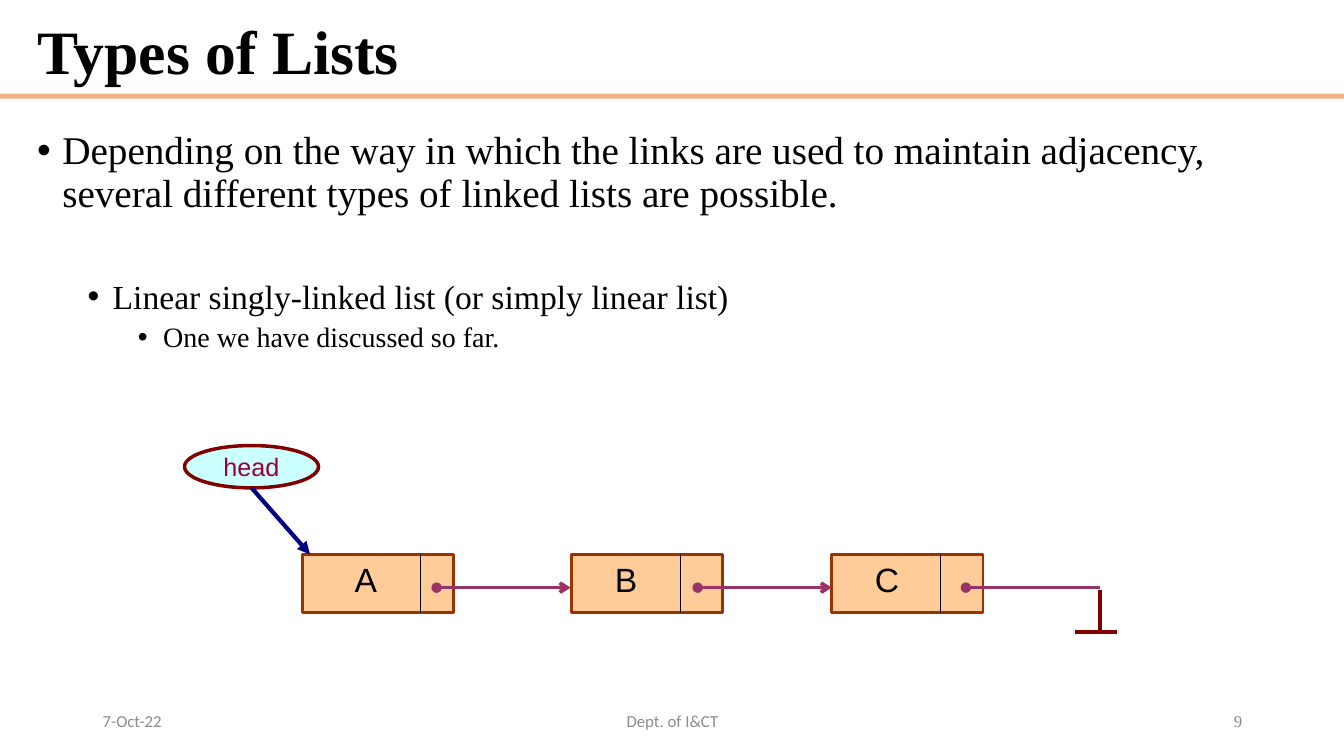
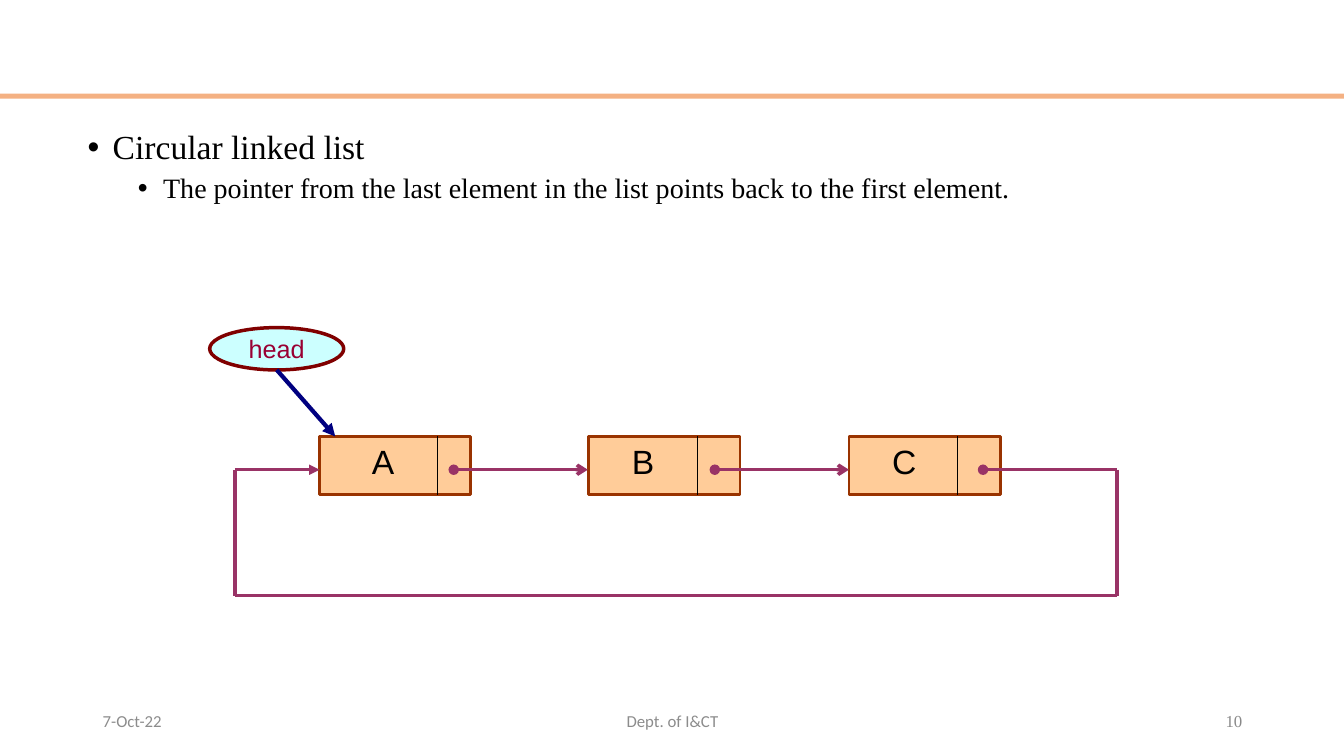
from dataclasses import dataclass

from lxml.etree import SubElement
from pptx import Presentation
from pptx.dml.color import RGBColor
from pptx.enum.shapes import MSO_CONNECTOR as Link, MSO_SHAPE as Shape
from pptx.enum.text import MSO_ANCHOR as Anchor, PP_ALIGN as Align
from pptx.oxml.ns import qn
from pptx.util import Inches, Pt


@dataclass(frozen=True)
class Theme:
    serif: str = "Times New Roman"
    sans: str = "Arial"
    footer_font: str = "Calibri"
    ink: str = "000000"
    band: str = "F4B183"
    footer: str = "8C8C8C"
    page: str = "898989"
    node_fill: str = "FFCC99"
    node_edge: str = "993300"
    pointer: str = "993366"
    head_fill: str = "CCFFFF"
    head_edge: str = "800000"
    head_text: str = "990033"
    head_arrow: str = "000080"
    title_size: int = 44
    level_sizes: tuple = (28, 24, 20)
    level_gaps: tuple = (10, 5, 5)
    node_size: int = 24
    head_size: int = 18
    footer_size: int = 12


THEME = Theme()
WIDTH, HEIGHT = 13.33, 7.5

NODE_W, NODE_H = 1.5, 0.58
NODE_OFFSETS = (0, 2.67, 5.25)
POINTER_OFFSETS = (1.33, 3.92, 6.58)
POINTER_LENGTH, POINTER_DROP = 1.33, 0.33
CELL_PITCH, LABEL_OFFSET, DIVIDER_OFFSET = 2.58, 0.42, 1.17
HEAD_W, HEAD_H = 1.33, 0.42


def rgb(value):
    return RGBColor.from_string(value)


def style_text(paragraph, font_name, size, color, bold=False):
    for run in paragraph.runs:
        font = run.font
        font.name, font.size, font.bold = font_name, Pt(size), bold
        font.color.rgb = rgb(color)


def add_text(shapes, box, text, font_name, size, color,
             align=Align.LEFT, anchor=Anchor.MIDDLE, bold=False):
    frame = shapes.add_textbox(*map(Inches, box)).text_frame
    frame.word_wrap = True
    frame.vertical_anchor = anchor
    frame.text = text
    paragraph = frame.paragraphs[0]
    paragraph.alignment = align
    style_text(paragraph, font_name, size, color, bold)
    return paragraph


def add_solid(shapes, kind, box, fill, edge=None, edge_width=0):
    solid = shapes.add_shape(kind, *map(Inches, box))
    solid.shadow.inherit = False
    solid.fill.solid()
    solid.fill.fore_color.rgb = rgb(fill)
    if edge:
        solid.line.color.rgb = rgb(edge)
        solid.line.width = Pt(edge_width)
    else:
        solid.line.fill.background()
    return solid


def add_line(shapes, start, end, color, width, head=None, tail=None):
    line = shapes.add_connector(Link.STRAIGHT, *map(Inches, (*start, *end)))
    line.line.color.rgb = rgb(color)
    line.line.width = Pt(width)
    properties = line._element.spPr
    outline = properties.find(qn("a:ln"))
    for tag, tip in (("a:headEnd", head), ("a:tailEnd", tail)):
        if tip:
            SubElement(outline, qn(tag), type=tip)
    SubElement(properties, qn("a:effectLst"))


def add_bullet(paragraph, level):
    properties = paragraph._p.get_or_add_pPr()
    properties.set("marL", str(Inches(0.25 + 0.5 * level)))
    properties.set("indent", str(Inches(-0.25)))
    SubElement(properties, qn("a:buFont"), typeface=THEME.sans)
    SubElement(properties, qn("a:buChar"), char="•")


def add_frame(slide, page, title=None):
    add_solid(slide.shapes, Shape.RECTANGLE, (0, 0.93, WIDTH, 0.05), THEME.band)
    if title:
        heading = add_text(slide.shapes, (0.27, 0.15, 12.15, 0.79), title,
                           THEME.serif, THEME.title_size, THEME.ink, bold=True)
        heading.line_spacing = 0.9
    footers = (
        (0.92, 3, "7-Oct-22", THEME.footer_font, THEME.footer, Align.LEFT),
        (4.42, 4.5, "Dept. of I&CT", THEME.footer_font, THEME.footer, Align.CENTER),
        (9.42, 3, page, THEME.serif, THEME.page, Align.RIGHT),
    )
    for left, width, text, font_name, color, align in footers:
        add_text(slide.shapes, (left, 6.95, width, 0.4), text,
                 font_name, THEME.footer_size, color, align)


def add_body(slide, box, points):
    frame = slide.shapes.add_textbox(*map(Inches, box)).text_frame
    frame.word_wrap = True
    for index, (level, text, extra_gap) in enumerate(points):
        point = frame.add_paragraph() if index else frame.paragraphs[0]
        point.text = text
        point.level = level
        add_bullet(point, level)
        point.line_spacing = 0.9
        if index:
            point.space_before = Pt(THEME.level_gaps[level] + extra_gap)
        style_text(point, THEME.serif, THEME.level_sizes[level], THEME.ink)


def add_nodes(shapes, left, top):
    for offset in NODE_OFFSETS:
        add_solid(shapes, Shape.RECTANGLE, (left + offset, top, NODE_W, NODE_H),
                  THEME.node_fill, THEME.node_edge, 2)
    pointer_y = top + POINTER_DROP
    for offset, tail in zip(POINTER_OFFSETS, ("arrow", "arrow", None)):
        start = left + offset
        add_line(shapes, (start, pointer_y), (start + POINTER_LENGTH, pointer_y),
                 THEME.pointer, 2.5, "oval", tail)
    for index, letter in enumerate("ABC"):
        cell = left + index * CELL_PITCH
        divider = cell + DIVIDER_OFFSET
        add_line(shapes, (divider, top), (divider, top + NODE_H), THEME.ink, 0.75)
        add_text(shapes, (cell + LABEL_OFFSET, top, 0.67, 0.5), letter,
                 THEME.sans, THEME.node_size, THEME.ink, anchor=Anchor.TOP)


def add_head(shapes, left, top):
    head = add_solid(shapes, Shape.OVAL, (left, top, HEAD_W, HEAD_H),
                     THEME.head_fill, THEME.head_edge, 2.5)
    frame = head.text_frame
    frame.word_wrap = False
    frame.vertical_anchor = Anchor.MIDDLE
    frame.text = "head"
    frame.paragraphs[0].alignment = Align.CENTER
    style_text(frame.paragraphs[0], THEME.sans, THEME.head_size, THEME.head_text)
    x, y = left + HEAD_W / 2, top + HEAD_H
    add_line(shapes, (x, y), (x + 0.58, y + 0.66), THEME.head_arrow, 3, tail="triangle")


def add_ground(shapes, x, top):
    bottom = top + 0.42
    add_line(shapes, (x, top), (x, bottom), THEME.head_edge, 2.5)
    add_line(shapes, (x - 0.25, bottom), (x + 0.17, bottom), THEME.head_edge, 2.5)


def add_return_path(shapes, left, right, top, bottom, target):
    corners = [(right, top), (right, bottom), (left, bottom), (left, top), (target, top)]
    tails = (None, None, None, "triangle")
    for start, end, tail in zip(corners, corners[1:], tails):
        add_line(shapes, start, end, THEME.pointer, 2.5, tail=tail)


def add_linear_list(slide, left, top):
    shapes = slide.shapes.add_group_shape().shapes
    add_nodes(shapes, left, top)
    add_ground(shapes, left + 7.91, top + 0.35)
    add_head(shapes, left - 1.17, top - 1.08)


def add_circular_list(slide, left, top):
    shapes = slide.shapes.add_group_shape().shapes
    add_nodes(shapes, left, top)
    pointer_y = top + POINTER_DROP
    add_return_path(shapes, left - 0.84, left + 7.91, pointer_y, pointer_y + 1.25, left)
    add_head(shapes, left - 1.09, top - 1.08)


def main():
    deck = Presentation()
    deck.slide_width, deck.slide_height = Inches(WIDTH), Inches(HEIGHT)
    blank = deck.slide_layouts[6]
    body_box = (0.27, 1.25, 12.83, 5.6)

    linear = deck.slides.add_slide(blank)
    add_frame(linear, "9", "Types of Lists")
    add_body(linear, body_box, (
        (0, "Depending on the way in which the links are used to maintain adjacency, "
            "several different types of linked lists are possible.", 0),
        (1, "Linear singly-linked list (or simply linear list)", 41),
        (2, "One we have discussed so far.", 0),
    ))
    add_linear_list(linear, 3, 5.5)

    circular = deck.slides.add_slide(blank)
    add_frame(circular, "10")
    add_body(circular, body_box, (
        (1, "Circular linked list", 0),
        (2, "The pointer from the last element in the list points back "
            "to the first element.", 0),
    ))
    add_circular_list(circular, 3.17, 4.33)

    deck.save("out.pptx")


if __name__ == "__main__":
    main()
